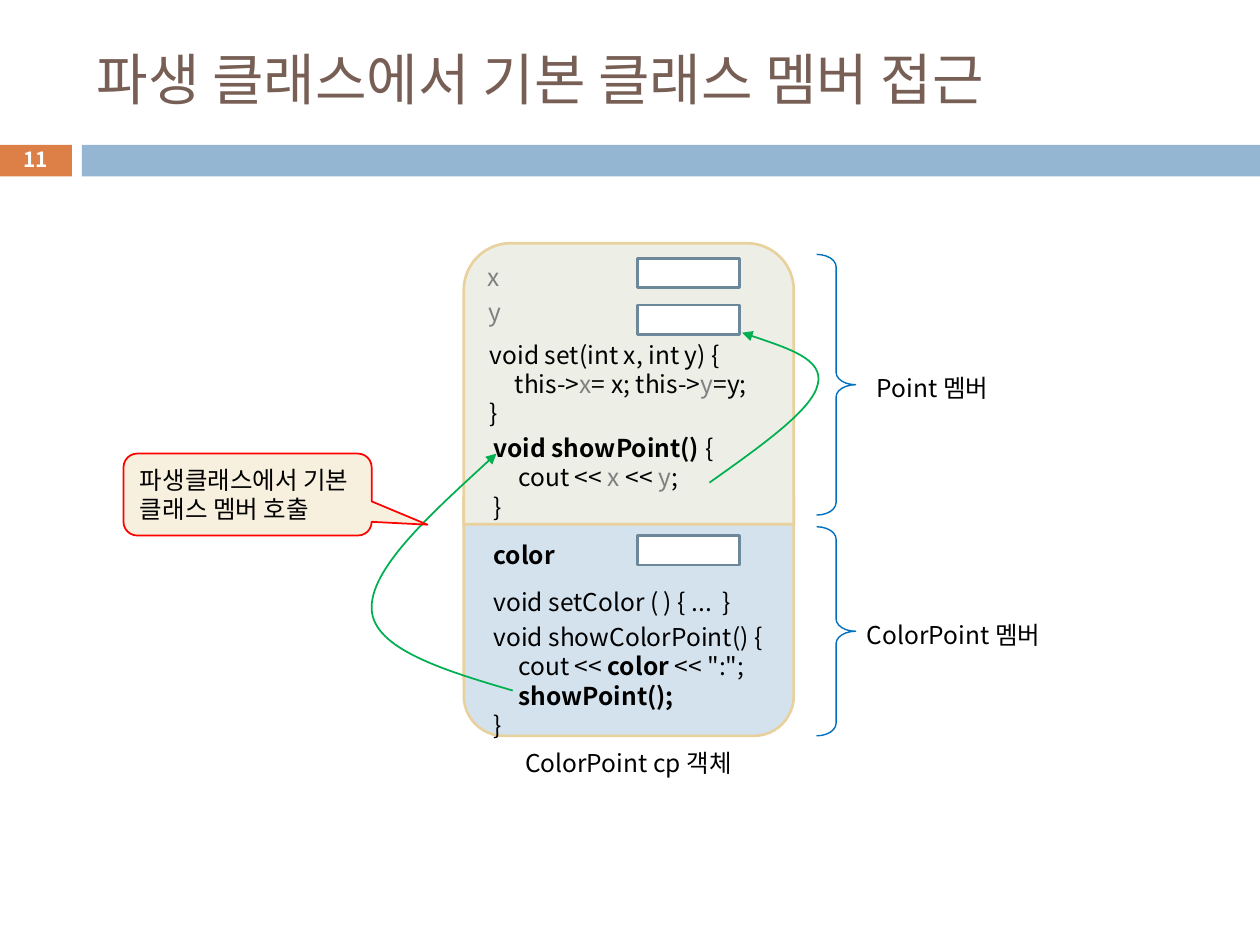
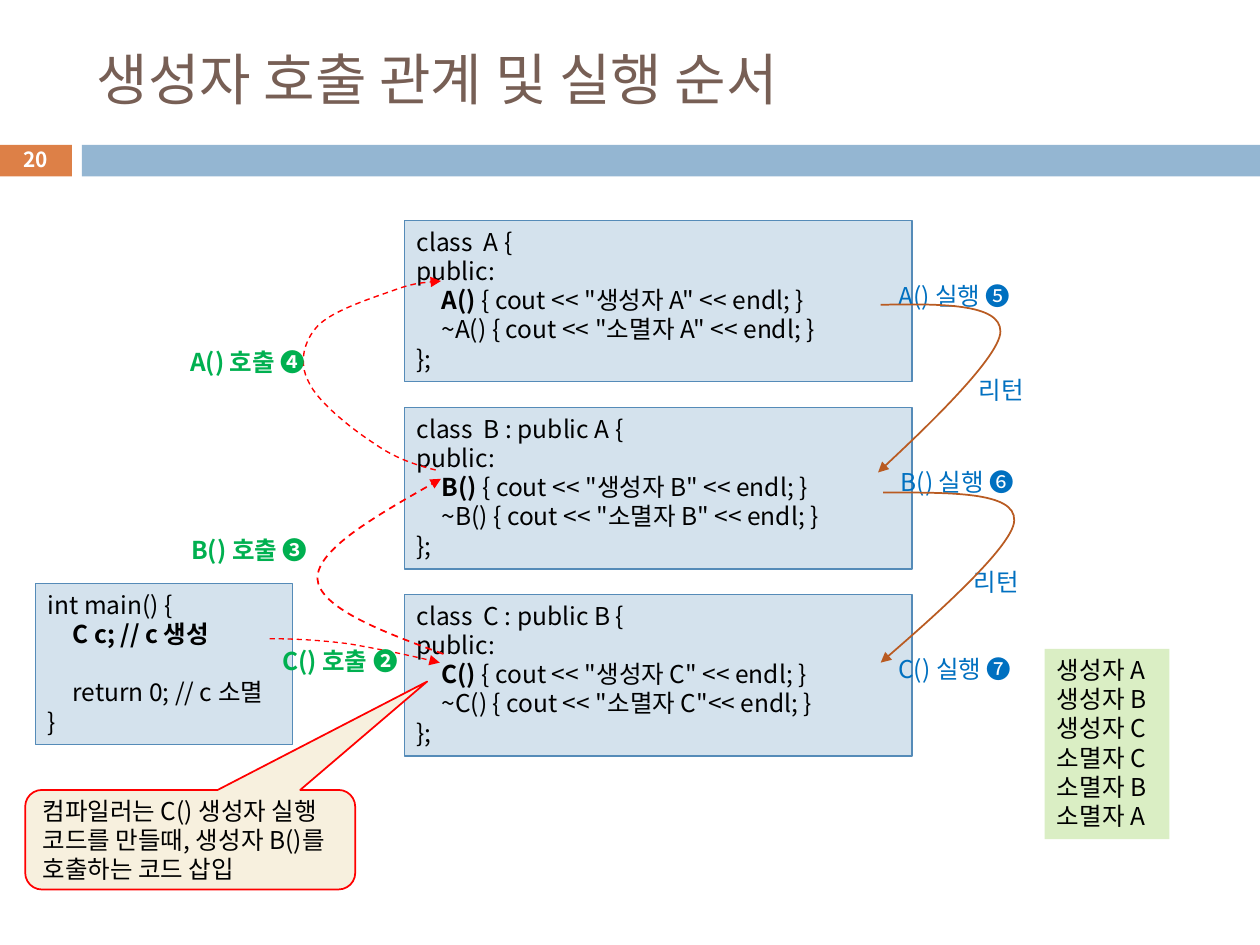
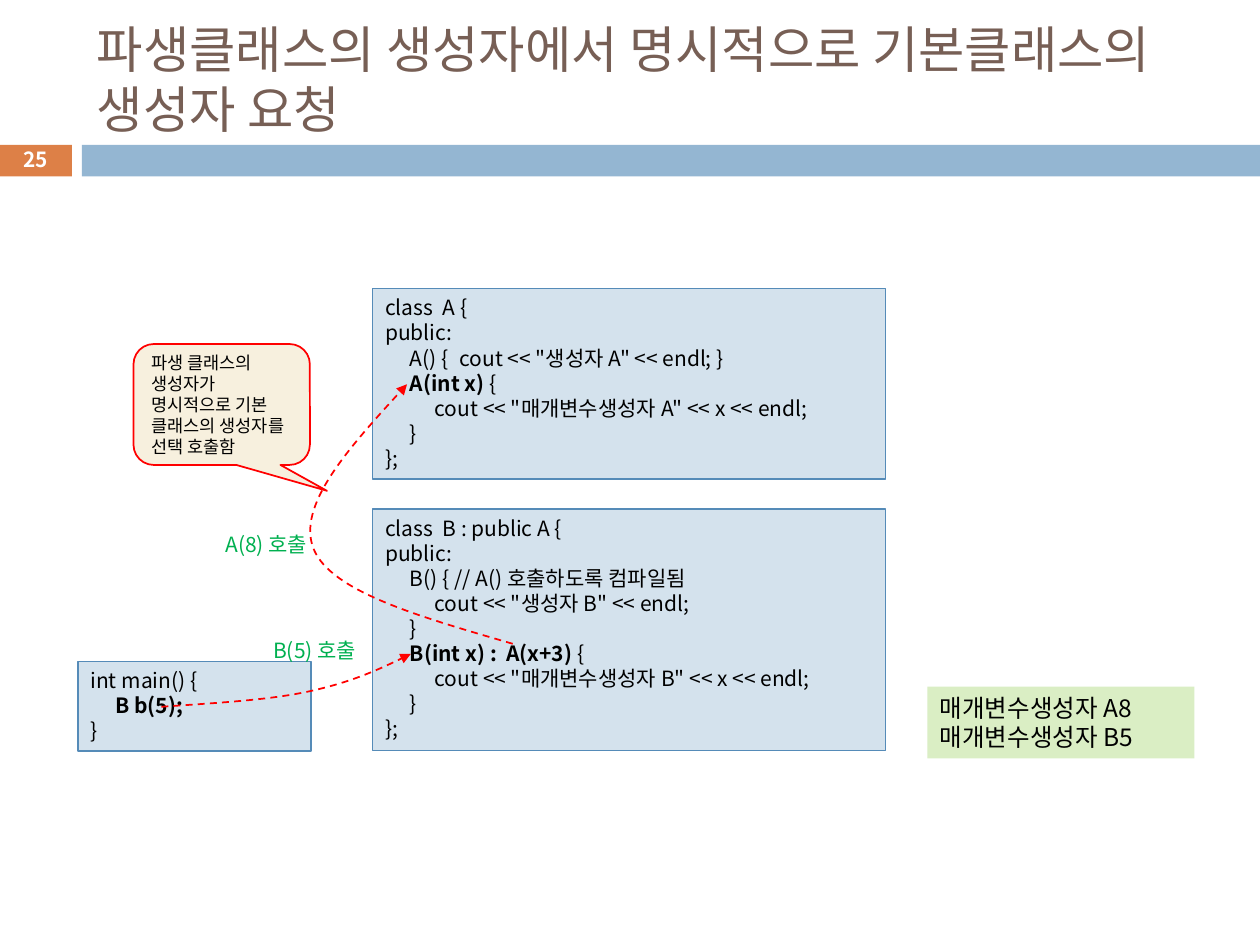
from dataclasses import dataclass

from lxml import etree
from pptx import Presentation
from pptx.dml.color import RGBColor
from pptx.enum.dml import MSO_LINE
from pptx.enum.shapes import MSO_SHAPE
from pptx.enum.text import MSO_ANCHOR, PP_ALIGN
from pptx.oxml.ns import qn
from pptx.util import Pt

RECT = MSO_SHAPE.RECTANGLE
HALF_ROUND = MSO_SHAPE.ROUND_2_SAME_RECTANGLE
BRACE = MSO_SHAPE.RIGHT_BRACE
CALLOUT = MSO_SHAPE.ROUNDED_RECTANGULAR_CALLOUT
TOP, MIDDLE = MSO_ANCHOR.TOP, MSO_ANCHOR.MIDDLE
LEFT, CENTER = PP_ALIGN.LEFT, PP_ALIGN.CENTER
DASH = MSO_LINE.DASH


@dataclass(frozen=True)
class Theme:
    font: str = "Noto Sans CJK KR"
    line_ratio: float = 1.195
    tab: float = 14.2
    title: float = 32
    long_title: float = 28.8
    number: float = 11.9
    body: float = 14
    small: float = 12
    note: float = 10
    ink: str = "000000"
    dim: str = "808080"
    white: str = "FFFFFF"
    brown: str = "775F55"
    orange: str = "DD8047"
    band: str = "94B6D2"
    code_fill: str = "D4E2ED"
    code_line: str = "558BB8"
    point_fill: str = "EDEEE6"
    object_line: str = "E8D19D"
    slot_line: str = "6D879B"
    output_fill: str = "DAEEC4"
    note_fill: str = "F7F0DE"
    red: str = "FF0000"
    green: str = "00B050"
    blue: str = "0070C0"
    rust: str = "B95B22"


THEME = Theme()


@dataclass(frozen=True)
class Box:
    left: float
    top: float
    width: float = 0
    height: float = 0

    def inner(self, left, top, width, height=24.5):
        """Return a box placed relative to this one's top left corner."""
        return Box(self.left + left, self.top + top, width, height)

    def lengths(self):
        return [Pt(value) for value in (self.left, self.top, self.width, self.height)]


def color(value):
    return RGBColor.from_string(value)


def bold(text):
    return text, "bold"


def dim(text):
    return text, "dim"


def add_tabs(para):
    tabs = etree.SubElement(para._p.get_or_add_pPr(), qn("a:tabLst"))
    for number in range(1, 6):
        etree.SubElement(tabs, qn("a:tab"), pos=str(Pt(THEME.tab * number)), algn="l")


def write(shape, lines, size=THEME.body, ink=THEME.ink, anchor=TOP, align=LEFT, strong=False):
    """Fill a shape with lines; each is a string or a list of strings and styled spans."""
    frame = shape.text_frame
    frame.word_wrap = True
    frame.vertical_anchor = anchor
    for index, line in enumerate(lines):
        para = frame.add_paragraph() if index else frame.paragraphs[0]
        para.alignment = align
        para.line_spacing = Pt(round(size * THEME.line_ratio, 2))
        pieces = [line] if isinstance(line, str) else line
        if any("\t" in piece for piece in pieces if isinstance(piece, str)):
            add_tabs(para)
        font = para.font
        font.size, font.bold, font.name = Pt(size), strong, THEME.font
        font.color.rgb = color(ink)
        etree.SubElement(font._element, qn("a:ea"), typeface=THEME.font)
        for piece in pieces:
            text, style = (piece, None) if isinstance(piece, str) else piece
            if not text:
                continue
            span = para.add_run()
            span.text = text
            if style == "bold":
                span.font.bold = True
            elif style == "dim":
                span.font.color.rgb = color(THEME.dim)


def add_text(page, box, lines, **style):
    write(page.shapes.add_textbox(*box.lengths()), lines, **style)


def add_shape(page, kind, box, fill=None, line=None, weight=1.0, adjust=()):
    shape = page.shapes.add_shape(kind, *box.lengths())
    shape.shadow.inherit = False
    if fill:
        shape.fill.solid()
        shape.fill.fore_color.rgb = color(fill)
    else:
        shape.fill.background()
    if line:
        shape.line.color.rgb = color(line)
        shape.line.width = Pt(weight)
    else:
        shape.line.fill.background()
    for index, value in enumerate(adjust):
        shape.adjustments[index] = value
    return shape


def add_code(page, box, lines, size=THEME.body):
    write(add_shape(page, RECT, box, THEME.code_fill, THEME.code_line, 0.75), lines, size)


def add_output(page, box, lines):
    write(add_shape(page, RECT, box, THEME.output_fill), lines)


def add_callout(page, box, tip, text, size=THEME.body):
    shape = add_shape(page, CALLOUT, box, THEME.note_fill, THEME.red, 1, (*tip, 0.167))
    write(shape, [text], size, anchor=MIDDLE)


def add_curve(page, box, points, ink, weight=1.0, dash=None):
    """Draw an arrow along cubic curves: a start point, then three points for each curve."""
    start, *rest = [(Pt(box.left + x), Pt(box.top + y)) for x, y in points]
    builder = page.shapes.build_freeform(*start)
    builder.add_line_segments(rest, close=False)
    shape = builder.convert_to_shape()
    shape.shadow.inherit = False
    shape.fill.background()
    shape.line.color.rgb = color(ink)
    shape.line.width = Pt(weight)
    if dash:
        shape.line.dash_style = dash
    properties = shape.element.spPr
    outline = next(properties.iter(qn("a:path")))
    segments = outline.findall(qn("a:lnTo"))
    for first in range(0, len(segments), 3):
        cubic = etree.SubElement(outline, qn("a:cubicBezTo"))
        for segment in segments[first:first + 3]:
            cubic.append(segment[0])
            outline.remove(segment)
    etree.SubElement(properties.find(qn("a:ln")), qn("a:tailEnd"), type="triangle")


def add_page(deck, title, number, size=THEME.title):
    page = deck.slides.add_slide(deck.slide_layouts[6])
    add_shape(page, RECT, Box(-0.7, 82.8, 41.8, 18), THEME.orange)
    add_shape(page, RECT, Box(46.8, 82.8, 673.2, 18), THEME.band)
    add_text(page, Box(48.2, 18, 642.2, 53.3), [title],
             size=size, ink=THEME.brown, anchor=MIDDLE)
    add_text(page, Box(-0.7, 81.4, 41.8, 19.4), [str(number)], size=THEME.number,
             ink=THEME.white, anchor=MIDDLE, align=CENTER, strong=True)
    return page


def draw_object(page, box):
    """Draw the ColorPoint object with its inherited part above its own part."""
    lower = add_shape(page, HALF_ROUND, box.inner(0, 144.7, box.width, 136.8),
                      THEME.code_fill, THEME.object_line, 1.5)
    lower.rotation = 180
    add_shape(page, HALF_ROUND, box.inner(0, 0, box.width, 160.6),
              THEME.point_fill, THEME.object_line, 1.5)
    for top in (8.6, 35.2, 167):
        add_shape(page, RECT, box.inner(99.3, top, 58.3, 16.8),
                  THEME.white, THEME.slot_line, 1.5)

    members = [
        (6.4, 7.2, 54.7, [[dim("x")]]),
        (7.2, 27.3, 54, [[dim("y")]]),
        (7.9, 51.8, 182, ["void set(int x, int y) {",
                          ["\tthis->", dim("x"), "= x; this->", dim("y"), "=y;"], "}"]),
        (10, 105.1, 190.8, [[bold("void showPoint() "), "{"],
                            ["\tcout << ", dim("x"), " << ", dim("y"), ";"], "}"]),
        (10, 166.3, 95.8, [[bold("color")]]),
        (10, 192.9, 178.6, ["void setColor ( ) { ...  }"]),
        (10, 213.1, 178.6, ["void showColorPoint() {",
                            ["\tcout << ", bold("color"), ' << ":";'],
                            ["\t", bold("showPoint();")], "}"]),
        (28, 285.1, 133.9, ["ColorPoint cp 객체"]),
    ]
    for left, top, width, lines in members:
        add_text(page, box.inner(left, top, width), lines)


def draw_member_groups(page, box):
    """Draw the braces right of the object, each with its label."""
    groups = [
        (0, 149, 27.3, 64.1, 80.6, "Point 멤버"),
        (155.6, 119.5, 21.6, 205.2, 114.5, "ColorPoint 멤버"),
    ]
    for top, height, label_left, label_top, label_width, label in groups:
        add_shape(page, BRACE, box.inner(0, top, 22.3, height),
                  line=THEME.blue, weight=0.79, adjust=(0.318, 0.5))
        add_text(page, box.inner(label_left, label_top, label_width), [label])


def member_access_page(deck):
    page = add_page(deck, "파생 클래스에서 기본 클래스 멤버 접근", 11)
    box = Box(265, 139, 188.6, 281.5)
    draw_object(page, box)
    add_curve(page, box, [(28, 255.6), (-11.6, 244), (-51.2, 231.8), (-52.6, 209.5),
                          (-54, 186.4), (-17.3, 153.3), (18.7, 120.2)], THEME.green)
    draw_member_groups(page, box.inner(201.6, 6.4, 137))
    add_callout(page, box.inner(-194.4, 120.2, 141.8, 46.8), (0.725, 0.368),
                "파생클래스에서 기본 클래스 멤버 호출")
    add_curve(page, box, [(140.4, 136.8), (169.9, 115.9), (199.4, 95), (202.3, 80.6),
                          (205.9, 66.2), (182.1, 59), (159.1, 51.1)], THEME.green)


def draw_class_stack(page, box):
    """Stack the classes A, B and C at equal steps."""
    classes = [("A", "", " "), ("B", ": public A ", " "), ("C", ": public B ", "")]
    for row, (name, base, gap) in enumerate(classes):
        add_code(page, box.inner(0, row * 106.9, box.width, 92.2), [
            f"class  {name} {base}{{",
            "public:",
            ["\t", bold(f"{name}() "), f'{{ cout << "생성자 {name}" << endl; }}'],
            f'\t~{name}() {{ cout << "소멸자 {name}"{gap}<< endl; }}',
            "};",
        ])


def draw_calls(page, box):
    """Draw the dashed call arrows on the left of the classes."""
    arrows = [
        (0.79, [(18, 142.6), (6.6, 139.7), (-4.9, 136.1), (-17.2, 127.4),
                (-29.4, 119.5), (-49.6, 103.7), (-54.6, 92.2),
                (-60.4, 81.4), (-57.5, 69.1), (-49.6, 60.5),
                (-41.6, 51.8), (-19.3, 44.6), (-7.1, 40.3),
                (4.4, 36), (12.4, 35.3), (21, 34.6)]),
        (0.75, [(-76.9, 239), (-62.5, 239), (-48.1, 239.8), (-31.6, 241.9),
                (-15, 244.8), (3, 248.4), (20.3, 252.7)]),
        (1, [(22.4, 247.7), (-13.6, 234.7), (-48.8, 221), (-49.6, 204.5),
             (-49.6, 187.9), (-14.3, 167.8), (21, 147.6)]),
    ]
    for weight, points in arrows:
        add_curve(page, box, points, THEME.red, weight, DASH)
    labels = [(-76.9, 239.8, 85.7, "C() 호출 ❷"), (-128.8, 176.4, 84.2, "B() 호출 ❸"),
              (-129.5, 69.1, 85.7, "A() 호출 ❹")]
    for left, top, width, label in labels:
        add_text(page, box.inner(left, top, width), [label], ink=THEME.green, strong=True)


def draw_returns(page, box):
    """Draw the run order and the return arrows on the right of the classes."""
    labels = [(275.2, 31, 83.5, "A() 실행 ❺"), (276.6, 137.5, 82.1, "B() 실행 ❻"),
              (275.2, 244.1, 89.3, "C() 실행 ❼"),
              (321.2, 85, 42.5, "리턴"), (318.4, 194.4, 42.5, "리턴")]
    for left, top, width, label in labels:
        add_text(page, box.inner(left, top, width), [label], ink=THEME.blue)
    arrows = [
        [(272.3, 48.2), (306.8, 47.5), (340.7, 47.5), (340.7, 63.4),
         (340.7, 79.2), (270.8, 144), (270.8, 144)],
        [(273.7, 155.5), (311.2, 155.5), (349.3, 154.8), (348.6, 171.4),
         (348.6, 187.2), (272.3, 252.7), (272.3, 252.7)],
    ]
    for points in arrows:
        add_curve(page, box, points, THEME.rust)


def constructor_order_page(deck):
    page = add_page(deck, "생성자 호출 관계 및 실행 순서", 20)
    box = Box(231, 126, 290.2)
    draw_class_stack(page, box)
    add_code(page, box.inner(-210.8, 207.4, 146.9, 92.2), [
        "int main() {", ["\t", bold("C c; // c 생성")], "", "\treturn 0; // c 소멸", "}"])
    draw_calls(page, box)
    draw_returns(page, box)
    add_output(page, box.inner(365.9, 244.8, 71.3, 108.7), [
        *(f"생성자 {name}" for name in "ABC"), *(f"소멸자 {name}" for name in "CBA")])
    add_callout(page, box.inner(-216.6, 325.4, 188.6, 56.9), (0.718, -1.589),
                "컴파일러는 C() 생성자 실행 코드를 만들때, 생성자 B()를 호출하는 코드 삽입")


def draw_explicit_classes(page, box):
    add_code(page, box.inner(0, 0, box.width, 108.7), [
        "class  A {",
        "public:",
        '\tA() { \tcout << "생성자 A" << endl; }',
        ["\t", bold("A(int x) "), "{"],
        '\t\tcout << "매개변수생성자 A" << x << endl;',
        "\t}",
        "};",
    ], THEME.small)
    add_code(page, box.inner(0, 125.9, box.width, 138.2), [
        "class  B : public A {",
        "public:",
        "\tB() { // A() 호출하도록 컴파일됨",
        '\t\tcout << "생성자 B" << endl;',
        "\t}",
        ["\t", bold("B(int x) :  A(x+3) "), "{"],
        '\t\tcout << "매개변수생성자 B" << x << endl;',
        "\t}",
        "};",
    ], THEME.small)


def explicit_call_page(deck):
    page = add_page(deck, "파생클래스의 생성자에서 명시적으로 기본클래스의 생성자 요청",
                    25, THEME.long_title)
    box = Box(213, 165, 293)
    draw_explicit_classes(page, box)
    add_code(page, box.inner(-168.4, 213, 133.2, 51.1),
             ["int main() {", ["\t", bold("B b(5);")], "}"], THEME.small)
    add_output(page, box.inner(316.9, 227.4, 152.6, 41),
               ["매개변수생성자 A8", "매개변수생성자 B5"])
    add_callout(page, box.inner(-136.7, 31.6, 100.8, 69.1), (0.597, 0.714),
                "파생 클래스의 생성자가 명시적으로 기본 클래스의 생성자를 선택 호출함", THEME.note)
    for left, top, width, label in [(-64, 195.7, 64.1, "B(5) 호출"),
                                    (-91.3, 135.2, 64.8, "A(8) 호출")]:
        add_text(page, box.inner(left, top, width, 21.6), [label],
                 size=THEME.small, ink=THEME.green)
    arrows = [
        [(80, 202.9), (28.2, 187.8), (-23.6, 173.4), (-33.7, 148.9),
         (-43.8, 124.4), (-12.1, 89.2), (19.6, 54.6)],
        [(-120.8, 238.9), (-91.3, 236.8), (-61.1, 235.3), (-37.3, 230.3),
         (-13.6, 225.2), (4.4, 217.3), (21.7, 208.7)],
    ]
    for points in arrows:
        add_curve(page, box, points, THEME.red, 1, DASH)


def main():
    deck = Presentation()
    deck.slide_width, deck.slide_height = Pt(720), Pt(540)
    member_access_page(deck)
    constructor_order_page(deck)
    explicit_call_page(deck)
    deck.save("out.pptx")


if __name__ == "__main__":
    main()
